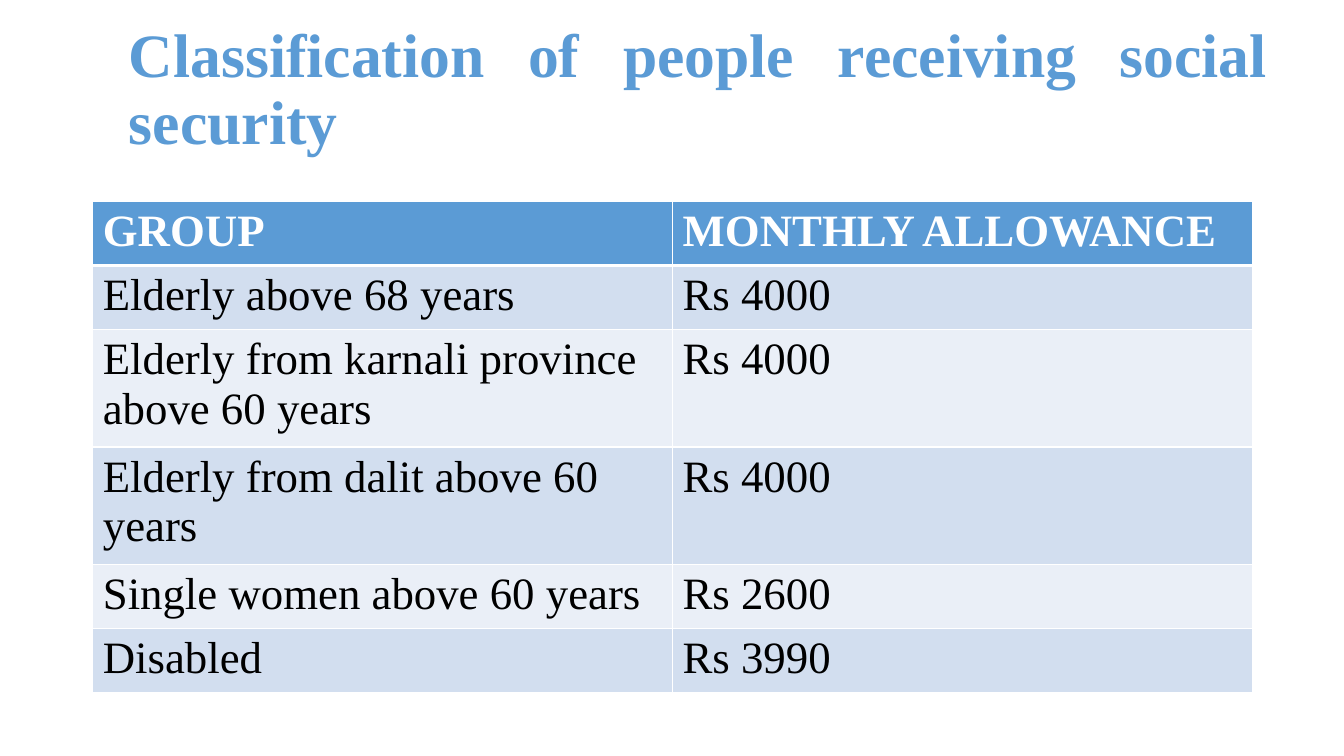
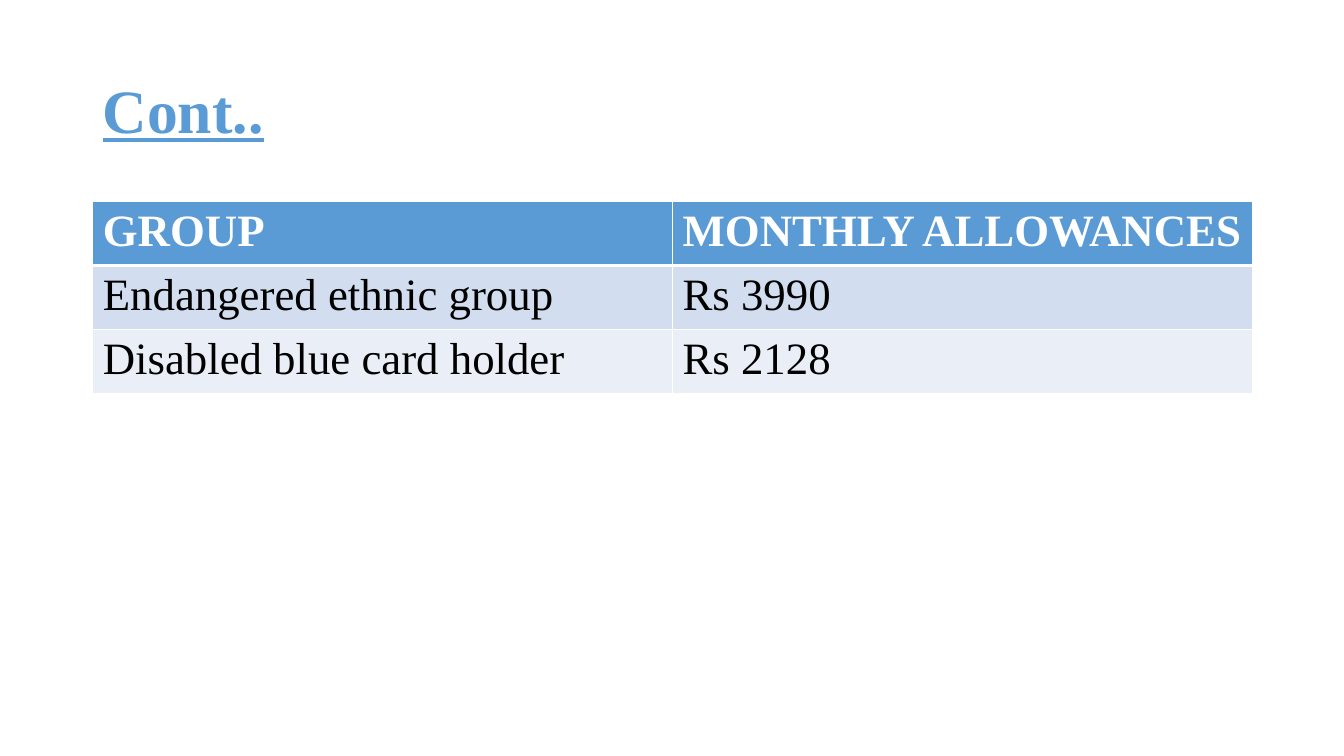
from lxml import etree
from pptx import Presentation
from pptx import util as u
from pptx.dml import color
from pptx.enum import text
from pptx.oxml import ns


class Slides:
    colours = {"accent": "5B9BD5", "light": "FFFFFF", "dark": "000000",
               "odd": "D2DEEF", "even": "EAEFF7"}
    face = "Times New Roman"
    width, title_height = 11.5, 1.45
    table_left, table_top, row_height = 0.92, 2, 0.41

    def __init__(self):
        self.deck = Presentation()
        self.deck.slide_width = u.Inches(13.33)
        self.deck.slide_height = u.Inches(7.5)
        self.page = None

    def rgb(self, name):
        return color.RGBColor.from_string(self.colours[name])

    def add_page(self):
        self.page = self.deck.slides.add_slide(self.deck.slide_layouts[6])

    def add_span(self, para, words, colour, **formats):
        span = para.add_run()
        span.text = words
        for name, value in {"name": self.face, **formats}.items():
            setattr(span.font, name, value)
        span.font.color.rgb = self.rgb(colour)

    def title(self, words, left, top, align=text.PP_ALIGN.LEFT, underline=False):
        box = self.page.shapes.add_textbox(*map(
            u.Inches, (left, top, self.width, self.title_height)))
        frame = box.text_frame
        frame.word_wrap = True
        frame.vertical_anchor = text.MSO_ANCHOR.MIDDLE
        para = frame.paragraphs[0]
        para.alignment = align
        para.line_spacing = 0.9
        self.add_span(para, words, "accent", size=u.Pt(44), bold=True,
                      underline=underline)

    def borders(self, cell, **widths):
        properties = cell._tc.get_or_add_tcPr()
        for side in "LRTB":
            line = etree.SubElement(properties, ns.qn(f"a:ln{side}"),
                                    w=str(u.Pt(widths.get(side, 1))))
            fill = etree.SubElement(line, ns.qn("a:solidFill"))
            etree.SubElement(fill, ns.qn("a:srgbClr"), val=self.colours["light"])

    def table(self, rows):
        count = len(rows)
        grid = self.page.shapes.add_table(count, 2, *map(
            u.Inches, (self.table_left, self.table_top, self.width,
                       count * self.row_height))).table
        for index, row in enumerate(rows):
            header = index == 0
            back = "accent" if header else "odd" if index % 2 else "even"
            edges = {0: {"B": 3}, 1: {"T": 3}}.get(index, {})
            for column, words in enumerate(row):
                cell = grid.cell(index, column)
                self.borders(cell, **edges)
                cell.fill.solid()
                cell.fill.fore_color.rgb = self.rgb(back)
                self.add_span(cell.text_frame.paragraphs[0], words,
                              "light" if header else "dark",
                              size=u.Pt(32), bold=header)


def main():
    slides = Slides()

    slides.add_page()
    slides.title("Classification of people receiving social security",
                 1.18, 0.18, align=text.PP_ALIGN.JUSTIFY)
    slides.table([
        ("GROUP", "MONTHLY ALLOWANCE"),
        ("Elderly above 68 years", "Rs 4000"),
        ("Elderly from karnali province above 60 years", "Rs 4000"),
        ("Elderly from dalit above 60 years", "Rs 4000"),
        ("Single women above 60 years", "Rs 2600"),
        ("Disabled", "Rs 3990"),
    ])

    slides.add_page()
    slides.title("Cont..", slides.table_left, 0.4, underline=True)
    slides.table([
        ("GROUP", "MONTHLY ALLOWANCES"),
        ("Endangered ethnic group", "Rs 3990"),
        ("Disabled blue card holder", "Rs 2128"),
    ])

    slides.deck.save("out.pptx")


if __name__ == "__main__":
    main()
